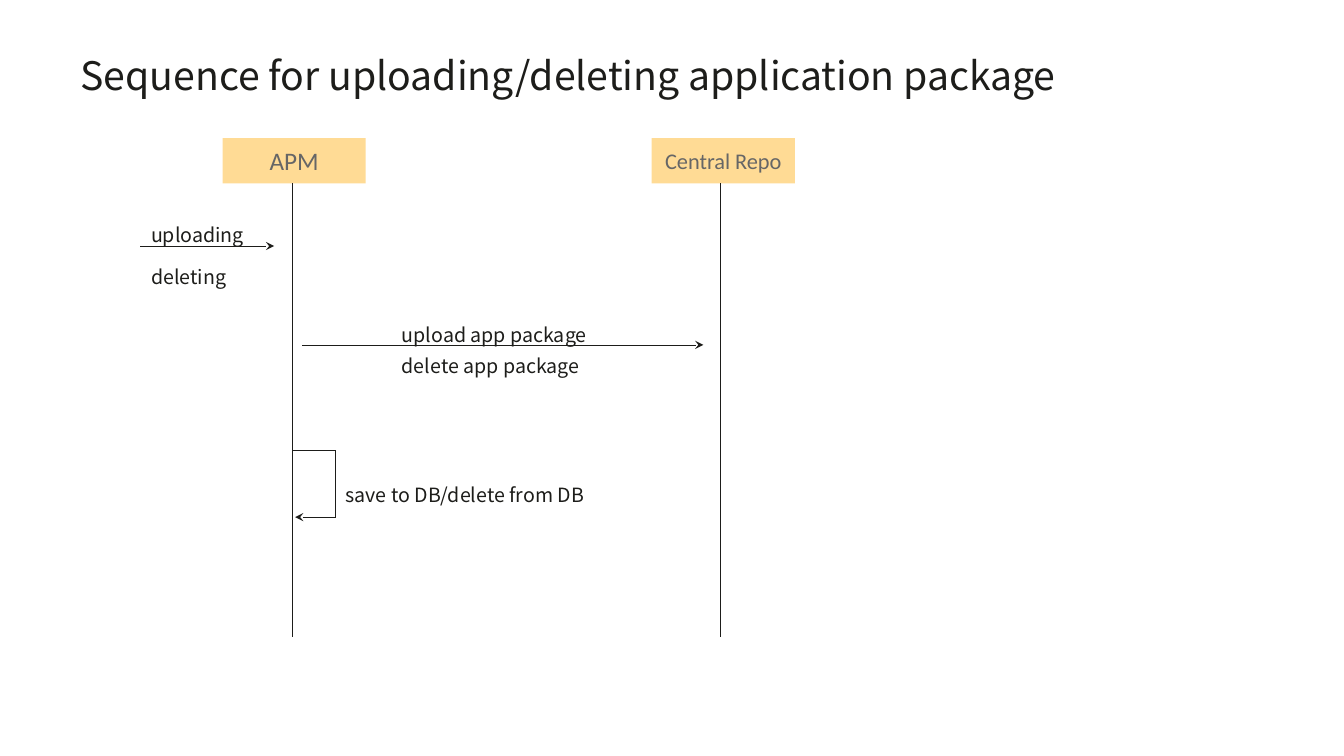
"""Build the sequence slide for uploading and deleting an application package."""
from lxml.etree import SubElement
from pptx import Presentation
from pptx.dml.color import RGBColor
from pptx.enum.shapes import MSO_CONNECTOR, MSO_SHAPE
from pptx.enum.text import MSO_ANCHOR, MSO_AUTO_SIZE, PP_ALIGN
from pptx.oxml.ns import qn
from pptx.util import Cm, Pt

INK, GOLD, GREY = "1D1D1A", "FFDB95", "666666"
SANS = "Noto Sans CJK SC"


def color(text):
    return RGBColor.from_string(text)


def write(shape, text, ink, frame, para, font):
    body = shape.text_frame
    body.text = text
    first = body.paragraphs[0]
    for item, values in ((body, frame), (first, para), (first.font, font)):
        for name, value in values.items():
            setattr(item, name, value)
    first.font.color.rgb = color(ink)


deck = Presentation()
deck.slide_width, deck.slide_height = Cm(33.88), Cm(19.05)
slide = deck.slides.add_slide(deck.slide_layouts[5])
shapes = slide.shapes

title = shapes.title
place = {"left": Cm(2.03), "top": Cm(1.27), "width": Cm(29.85), "height": Cm(2.77)}
for name, value in place.items():
    setattr(title, name, value)
flush = dict.fromkeys(("margin_left", "margin_top", "margin_right", "margin_bottom"), 0)
write(title, "Sequence for uploading/deleting application package", INK,
      {**flush, "vertical_anchor": MSO_ANCHOR.TOP, "word_wrap": True,
       "auto_size": MSO_AUTO_SIZE.NONE},
      {"alignment": PP_ALIGN.LEFT, "line_spacing": Pt(34.3)},
      {"name": SANS, "size": Pt(28)})

actors = [("APM", 5.61, 18), ("Central Repo", 16.43, 16)]
for text, left, size in actors:
    box = shapes.add_shape(MSO_SHAPE.RECTANGLE, Cm(left), Cm(3.48), Cm(3.61), Cm(1.14))
    box.shadow.inherit = False
    box.fill.solid()
    box.fill.fore_color.rgb = color(GOLD)
    box.line.fill.background()
    write(box, text, GREY,
          {"vertical_anchor": MSO_ANCHOR.MIDDLE, "word_wrap": True},
          {"alignment": PP_ALIGN.CENTER},
          {"name": "Calibri", "size": Pt(size)})

lines = [
    (7.37, 4.62, 7.37, 16.05, False),
    (18.16, 4.62, 18.16, 16.05, False),
    (3.53, 6.2, 6.91, 6.2, True),
    (7.62, 8.69, 17.73, 8.69, True),
    (7.39, 11.35, 8.46, 11.35, False),
    (8.46, 11.35, 8.46, 13.03, False),
    (8.46, 13.03, 7.44, 13.03, True),
]
for *ends, arrow in lines:
    line = shapes.add_connector(MSO_CONNECTOR.STRAIGHT, *map(Cm, ends))
    line.line.width = Pt(0.5)
    line.line.color.rgb = color(INK)
    if arrow:
        SubElement(line.line._get_or_add_ln(), qn("a:tailEnd"), type="stealth")
    SubElement(line._element.spPr, qn("a:effectLst"))

labels = [
    ("uploading", 3.56, 4.88, 2.95),
    ("deleting", 3.56, 5.92, 2.49),
    ("upload app package", 9.88, 7.39, 5.38),
    ("delete app package", 9.88, 8.18, 5.21),
    ("save to DB/delete from DB", 8.46, 11.43, 6.88),
]
for text, left, top, width in labels:
    label = shapes.add_textbox(Cm(left), Cm(top), Cm(width), Cm(1.47))
    write(label, text, INK,
          {"word_wrap": False, "auto_size": MSO_AUTO_SIZE.SHAPE_TO_FIT_TEXT},
          {"line_spacing": Pt(34.4)},
          {"name": SANS, "size": Pt(14)})

deck.save("out.pptx")
